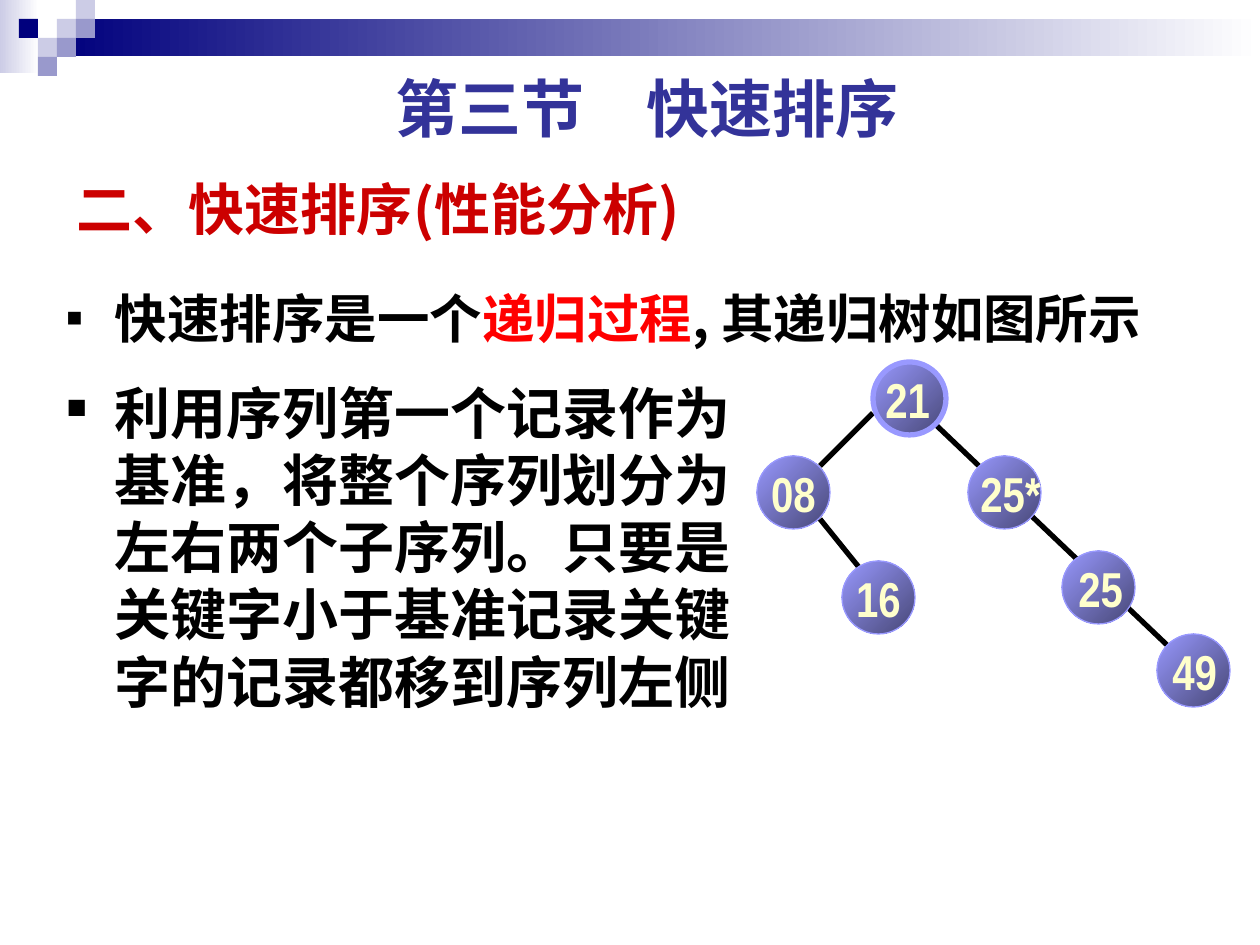
import pptx
import pptx.dml.color
import pptx.enum.shapes
import pptx.enum.text
import pptx.oxml
import pptx.oxml.ns
import pptx.util

PX = 914400 / 126
CELL = 19
NODE = 73
SANS = "Noto Sans CJK SC"
COLORS = {
    "navy": "00007D", "lilac": "CCCCE6", "violet": "9999CC", "white": "FFFFFF",
    "heading": "333399", "title": "CC0000", "accent": "FF0000", "text": "000000",
    "node": "9999FF", "node_dark": "474776", "label": "FFFFCC",
}
SQUARES = [(3, 1, "lilac"), (4, 0, "lilac"), (4, 1, "violet"), (2, 2, "lilac"),
           (1, 1, "navy"), (3, 2, "violet"), (2, 3, "violet")]
BRANCHES = [(820, 519, 862, 571), (936, 425, 1167, 645), (873, 413, 820, 466)]
NODES = [("49", 1157, 634, 0.75), ("25", 1062, 551, 0.75), ("21", 873, 362, 3),
         ("25*", 968, 456, 0.75)]
CENTRED_NODES = [("08", 757, 456, 0.75), ("16", 842, 561, 0.75)]
LABEL_SHIFT = {"49": 3, "25": 4}
FIRST_POINT = [("快速排序是一个", "text"), ("递归过程", "accent"),
               (", 其递归树如图所示", "text")]
SECOND_POINT = [("利用序列第一个记录作为基准，将整个序列划分为左右两个子序列。"
                 "只要是关键字小于基准记录关键字的记录都移到序列左侧", "text")]


def px(*lengths):
    """Turn px lengths into EMU."""
    return [pptx.util.Emu(round(length * PX)) for length in lengths]


def rgb(name):
    """Look up a named colour."""
    return pptx.dml.color.RGBColor.from_string(COLORS[name])


def apply(target, **values):
    """Set attributes of an object from format values."""
    for name, value in values.items():
        setattr(target, name, value)


def fill_shape(shape, *names, angle=0):
    """Fill a shape with one colour or a two-colour gradient."""
    if len(names) == 1:
        shape.fill.solid()
        shape.fill.fore_color.rgb = rgb(names[0])
        return
    shape.fill.gradient()
    shape.fill.gradient_angle = angle
    for stop, name, position in zip(shape.fill.gradient_stops, names, (0, 1)):
        apply(stop.color, rgb=rgb(name))
        stop.position = position


def add_rectangle(page, frame, *names):
    """Add a decorative rectangle without outline."""
    kind = pptx.enum.shapes.MSO_SHAPE.RECTANGLE
    box = page.shapes.add_shape(kind, *px(*frame))
    box.shadow.inherit = False
    box.line.fill.background()
    fill_shape(box, *names)


def write_spans(para, spans, size, font):
    """Write coloured bold spans into a paragraph."""
    for text, color in spans:
        span = para.add_run()
        span.text = text
        apply(span.font, size=pptx.util.Pt(size), bold=True, name=font)
        span.font.color.rgb = rgb(color)
        east = pptx.oxml.parse_xml(
            f'<a:ea {pptx.oxml.ns.nsdecls("a")} typeface="{font}"/>')
        span.font._element.find(pptx.oxml.ns.qn("a:latin")).addnext(east)


def write_box(box, spans, size, font=SANS, wrap=True, anchor="TOP", align="LEFT", **spacing):
    """Format a text frame and write its single paragraph."""
    frame = box.text_frame
    apply(frame, word_wrap=wrap, auto_size=pptx.enum.text.MSO_AUTO_SIZE.NONE,
          vertical_anchor=getattr(pptx.enum.text.MSO_ANCHOR, anchor))
    para = frame.paragraphs[0]
    apply(para, alignment=getattr(pptx.enum.text.PP_ALIGN, align),
          **{"space_before": pptx.util.Pt(0), **spacing})
    write_spans(para, spans, size, font)
    return para


def add_bullet(para):
    """Give a paragraph a half-size square bullet and a hanging indent."""
    properties = para._p.get_or_add_pPr()
    indent = px(48)[0]
    properties.set("marL", str(indent))
    properties.set("indent", str(-indent))
    space = pptx.oxml.ns.nsdecls("a")
    for xml in (f'<a:buClr {space}><a:srgbClr val="{COLORS["text"]}"/></a:buClr>',
                f'<a:buSzPct {space} val="50000"/>',
                f'<a:buChar {space} char="■"/>'):
        properties.append(pptx.oxml.parse_xml(xml))


def place(box, *frame):
    """Move a placeholder to a frame given in px."""
    apply(box, **dict(zip(("left", "top", "width", "height"), px(*frame))))


def add_branch(page, *ends):
    """Add a tree branch as a straight line."""
    kind = pptx.enum.shapes.MSO_CONNECTOR.STRAIGHT
    branch = page.shapes.add_connector(kind, *px(*ends))
    branch.line.color.rgb = rgb("text")
    branch.line.width = pptx.util.Pt(3)
    branch._element.spPr.append(
        pptx.oxml.parse_xml(f'<a:effectLst {pptx.oxml.ns.nsdecls("a")}/>'))


def add_node(page, left, top, width):
    """Add a shaded tree node."""
    kind = pptx.enum.shapes.MSO_SHAPE.OVAL
    node = page.shapes.add_shape(kind, *px(left, top, NODE, NODE))
    node.shadow.inherit = False
    fill_shape(node, "node", "node_dark", angle=315)
    node.line.color.rgb = rgb("node")
    node.line.width = pptx.util.Pt(width)
    return node


def add_tree(page):
    """Draw the recursion tree."""
    for ends in BRANCHES:
        add_branch(page, *ends)
    for key, left, top, width in NODES:
        add_node(page, left, top, width)
        label = page.shapes.add_textbox(
            *px(left + LABEL_SHIFT.get(key, 0), top + 1, 86, 72))
        write_box(label, [(key, "label")], 28, "Arial Narrow", wrap=False)
    for key, left, top, width in CENTRED_NODES:
        node = add_node(page, left, top, width)
        write_box(node, [(key, "label")], 28, "Arial Narrow", wrap=False,
                  anchor="MIDDLE", align="CENTER")


def add_banner(page):
    """Draw the gradient banner and its mosaic of squares."""
    add_rectangle(page, (0, 0, 39, 73), "lilac", "white")
    add_rectangle(page, (57, CELL, 1203, 37), "navy", "white")
    for column, row, color in SQUARES:
        add_rectangle(page, (column * CELL, row * CELL, CELL, CELL), color)


def add_texts(page):
    """Fill the title, the list and the section heading."""
    title, body = page.placeholders
    place(title, 64, 161, 788, 95)
    write_box(title, [("二、快速排序(性能分析)", "title")], 32, anchor="MIDDLE")
    place(body, 54, 277, 1207, 462)
    add_bullet(write_box(body, FIRST_POINT, 30, line_spacing=1.05,
                         space_before=pptx.util.Pt(18.7)))
    second = page.shapes.add_textbox(*px(54, 372, 714, 462))
    add_bullet(write_box(second, SECOND_POINT, 32, space_before=pptx.util.Pt(20)))
    heading = page.shapes.add_textbox(*px(64, 63, 1166, 88))
    write_box(heading, [("第三节　快速排序", "heading")], 36, "Cabin",
              align="CENTER", space_before=pptx.util.Pt(22.5))


def main():
    """Build and save the deck."""
    deck = pptx.Presentation()
    apply(deck, **dict(zip(("slide_width", "slide_height"), px(1260, 945))))
    page = deck.slides.add_slide(deck.slide_layouts[1])
    add_banner(page)
    add_texts(page)
    add_tree(page)
    deck.save("out.pptx")


if __name__ == "__main__":
    main()
